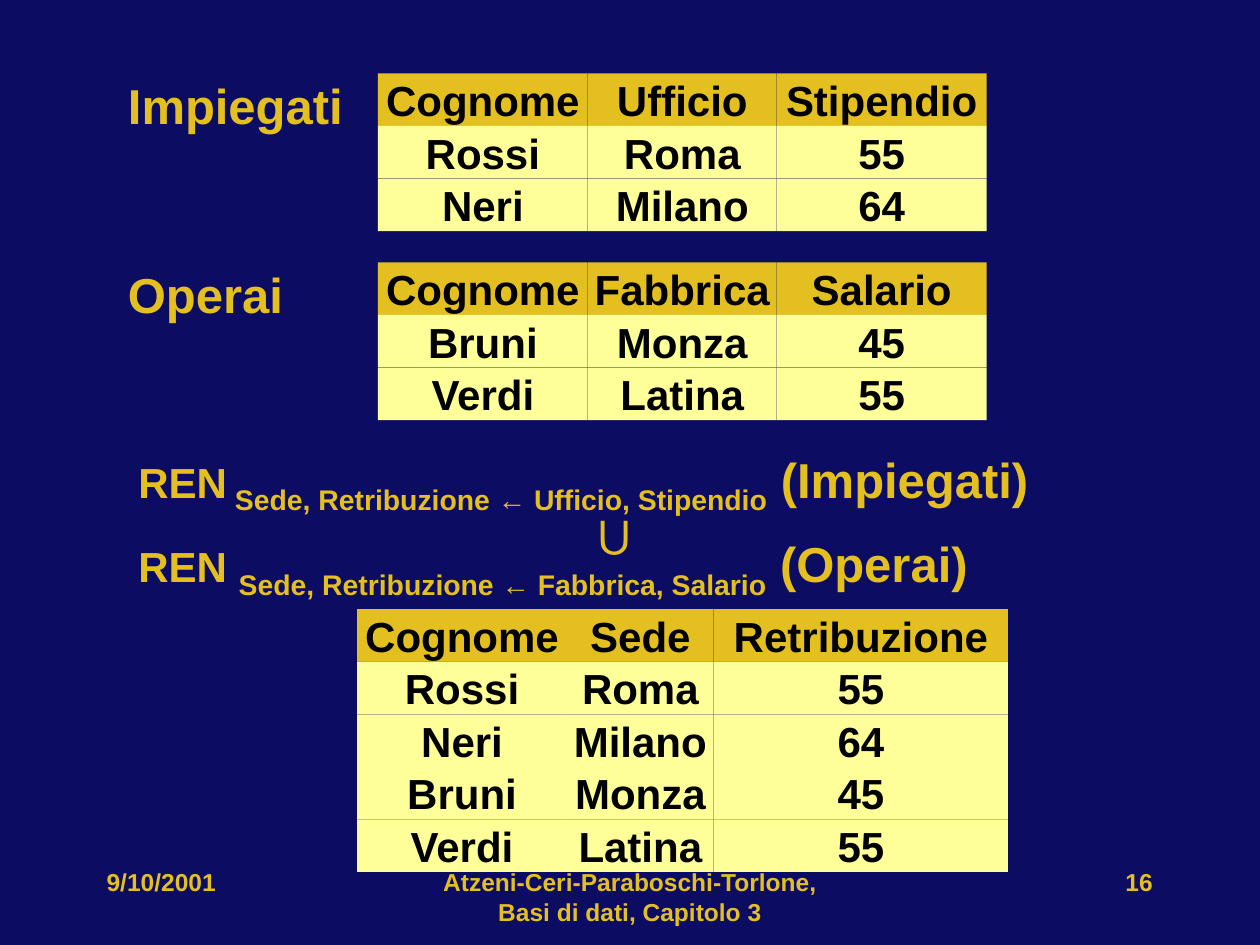
"""Build the slide on renaming and union of the relations Impiegati and Operai."""
from dataclasses import dataclass
from itertools import accumulate

from pptx import Presentation
from pptx import util as u
from pptx.dml import color
from pptx.enum import shapes as s
from pptx.enum import text as t

NAVY, GOLD, CREAM, BLACK = "0C0C62", "E4BF20", "FFFF99", "000000"
FONT = "Arial"
ROW_HEIGHT = 1.06


@dataclass(frozen=True)
class Piece:
    """A stretch of text with its own size and position on the line."""
    text: str
    size: int
    subscript: bool = False


@dataclass(frozen=True)
class Label:
    """A text box of one paragraph, placed in centimetres."""
    pieces: tuple[Piece, ...]
    left: float
    top: float
    width: float
    height: float
    anchor: t.MSO_ANCHOR = t.MSO_ANCHOR.TOP
    align: t.PP_ALIGN = t.PP_ALIGN.LEFT
    wrap: bool = False


@dataclass(frozen=True)
class Relation:
    """A relation shown as a grid of cells, placed in centimetres."""
    left: float
    top: float
    widths: tuple[float, ...]
    rows: tuple[tuple[str, ...], ...]


def rgb(value: str) -> color.RGBColor:
    """Turn a hex string into a colour."""
    return color.RGBColor.from_string(value)


def set_font(font, size: int, value: str) -> None:
    """Give a font the bold slide style."""
    font.name, font.bold, font.size = FONT, True, u.Pt(size)
    font.color.rgb = rgb(value)


def draw_label(slide, label: Label) -> None:
    """Draw a gold text box."""
    box = slide.shapes.add_textbox(*map(u.Cm, (label.left, label.top, label.width, label.height)))
    frame = box.text_frame
    frame.word_wrap = label.wrap
    frame.auto_size = t.MSO_AUTO_SIZE.NONE
    frame.vertical_anchor = label.anchor
    paragraph = frame.paragraphs[0]
    paragraph.alignment = label.align
    for piece in label.pieces:
        run = paragraph.add_run()
        run.text = piece.text
        set_font(run.font, piece.size, GOLD)
        if piece.subscript:
            run.font._element.set("baseline", "-25000")


def draw_cell(slide, text: str, left: float, top: float, width: float, fill: str) -> None:
    """Draw one filled cell with centred text."""
    shape = slide.shapes.add_shape(
        s.MSO_SHAPE.RECTANGLE, *map(u.Cm, (left, top, width, ROW_HEIGHT)))
    shape.shadow.inherit = False
    shape.fill.solid()
    shape.fill.fore_color.rgb = rgb(fill)
    shape.line.fill.background()
    frame = shape.text_frame
    frame.word_wrap = False
    frame.vertical_anchor = t.MSO_ANCHOR.MIDDLE
    paragraph = frame.paragraphs[0]
    paragraph.text = text
    paragraph.alignment = t.PP_ALIGN.CENTER
    set_font(paragraph.font, 24, BLACK)


def draw_relation(slide, relation: Relation) -> None:
    """Draw a relation with a gold heading row."""
    lefts = tuple(accumulate(relation.widths, initial=relation.left))
    for index, values in enumerate(relation.rows):
        top = relation.top + index * ROW_HEIGHT
        for text, left, width in zip(values, lefts, relation.widths):
            draw_cell(slide, text, left, top, width, CREAM if index else GOLD)


def heading(name: str, top: float) -> Label:
    """Name a relation to the left of its grid."""
    return Label((Piece(name, 28),), 2.33, top, 3.81, 0.85, t.MSO_ANCHOR.MIDDLE)


def renaming(pieces: tuple[Piece, ...], operand: str, top: float) -> Label:
    """Write a renaming expression."""
    return Label((*pieces, Piece(f" ({operand})", 28)), 2.54, top, 3.81, 0.85,
                 t.MSO_ANCHOR.MIDDLE)


def footer(text: str, left: float, width: float, align: t.PP_ALIGN) -> Label:
    """Write a footer entry."""
    return Label((Piece(text, 14),), left, 17.36, width, 1.27, align=align, wrap=True)


EMPLOYEES = (("Rossi", "Roma", "55"), ("Neri", "Milano", "64"))
WORKERS = (("Bruni", "Monza", "45"), ("Verdi", "Latina", "55"))
SOURCE_WIDTHS = (4.23, 3.81, 4.23)

RELATIONS = (
    Relation(7.62, 1.48, SOURCE_WIDTHS, (("Cognome", "Ufficio", "Stipendio"), *EMPLOYEES)),
    Relation(7.62, 5.29, SOURCE_WIDTHS, (("Cognome", "Fabbrica", "Salario"), *WORKERS)),
    Relation(7.2, 12.28, (4.23, 2.96, 5.93),
             (("Cognome", "Sede", "Retribuzione"), *EMPLOYEES, *WORKERS)),
)
EXPRESSIONS = (
    renaming((Piece("REN", 24), Piece(" Sede, Retribuzione ← Ufficio, Stipendio", 28, True)),
             "Impiegati", 9.31),
    renaming((Piece("REN ", 24), Piece("Sede, Retribuzione ← Fabbrica, Salario", 28, True)),
             "Operai", 11.01),
    Label((Piece("∪", 32),), 11.73, 9.95, 1.4, 1.63),
)
HEADINGS = (heading("Impiegati", 1.69), heading("Operai", 5.5))
FOOTERS = (
    footer("Atzeni-Ceri-Paraboschi-Torlone, Basi di dati, Capitolo 3", 8.68, 8.04,
           t.PP_ALIGN.CENTER),
    footer("16", 18.2, 5.29, t.PP_ALIGN.RIGHT),
    footer("9/10/2001", 1.9, 5.29, t.PP_ALIGN.LEFT),
)


def main() -> None:
    """Build and save the presentation."""
    presentation = Presentation()
    presentation.slide_width, presentation.slide_height = u.Cm(25.4), u.Cm(19.05)
    slide = presentation.slides.add_slide(presentation.slide_layouts[6])
    slide.background.fill.solid()
    slide.background.fill.fore_color.rgb = rgb(NAVY)
    for label in EXPRESSIONS + HEADINGS:
        draw_label(slide, label)
    for relation in RELATIONS:
        draw_relation(slide, relation)
    for label in FOOTERS:
        draw_label(slide, label)
    presentation.save("out.pptx")


if __name__ == "__main__":
    main()
